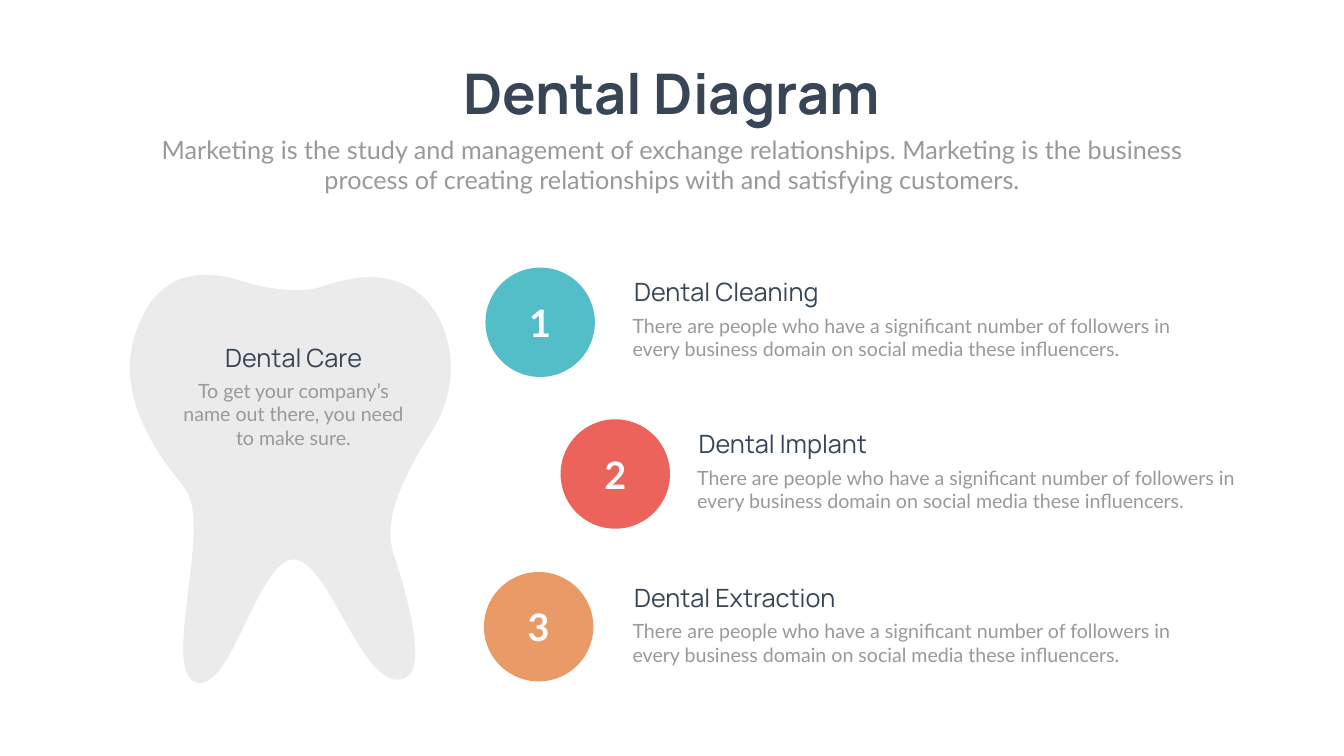
"""Build the Dental Diagram slide: a tooth outline beside three numbered treatments."""

from dataclasses import dataclass

import pptx
import pptx.dml.color
import pptx.enum.shapes
import pptx.enum.text
import pptx.oxml.ns
import pptx.shapes.autoshape
import pptx.slide
import pptx.util
from lxml import etree

EMU_PER_PX = 9144
CIRCLE_SIZE = 217
HEADING_WIDTH, HEADING_HEIGHT = 535, 71
BODY_HEIGHT, BODY_SHIFT, BODY_DROP = 104, -3, 74
ALIGN = pptx.enum.text.PP_ALIGN

Point = tuple[int, int]


@dataclass(frozen=True)
class Theme:
    background: str = "FEFFFE"
    heading: str = "374556"
    body: str = "999999"
    tooth: str = "EBEBEB"
    number: str = "FFFFFF"
    heading_font: str = "Manrope"
    body_font: str = "Lato"
    title_size: int = 80
    heading_size: int = 36
    number_size: int = 54
    body_size: int = 28


@dataclass(frozen=True)
class Box:
    left: int
    top: int
    width: int
    height: int

    def emu(self) -> list[int]:
        return [value * EMU_PER_PX for value in (self.left, self.top, self.width, self.height)]


@dataclass(frozen=True)
class Treatment:
    heading: str
    color: str
    circle: Point
    text: Point
    body_width: int


THEME = Theme()
TREATMENT_BODY = (
    "There are people who have a significant number of followers in "
    "every business domain on social media these influencers."
)
TREATMENTS = (
    Treatment("Dental Cleaning", "53BEC7", (963, 531), (1248, 543), 1135),
    Treatment("Dental Implant", "EB635B", (1112, 832), (1376, 845), 1099),
    Treatment("Dental Extraction", "EA9A67", (960, 1135), (1248, 1150), 1135),
)
TOOTH_START: Point = (292, 611)
TOOTH_CURVES: tuple[tuple[Point, Point, Point], ...] = (
    ((332, 544), (401, 533), (474, 556)),
    ((521, 571), (591, 584), (634, 570)),
    ((710, 545), (770, 539), (827, 579)),
    ((883, 618), (930, 739), (856, 857)),
    ((781, 975), (762, 1045), (782, 1103)),
    ((801, 1161), (851, 1323), (804, 1345)),
    ((722, 1383), (655, 1111), (583, 1110)),
    ((511, 1110), (459, 1375), (389, 1354)),
    ((318, 1333), (424, 1039), (366, 968)),
    ((309, 896), (203, 759), TOOTH_START),
)


def rgb(color: str) -> pptx.dml.color.RGBColor:
    return pptx.dml.color.RGBColor.from_string(color)


def paint(shape: pptx.shapes.autoshape.Shape, color: str) -> None:
    shape.fill.solid()
    shape.fill.fore_color.rgb = rgb(color)
    shape.line.fill.background()
    shape.shadow.inherit = False


def write_text(
    shape: pptx.shapes.autoshape.Shape,
    text: str,
    *,
    size: int,
    color: str,
    font: str,
    bold: bool = False,
    align: ALIGN = ALIGN.LEFT,
    wrap: bool = True,
) -> None:
    frame = shape.text_frame
    frame.word_wrap = wrap
    paragraph = frame.paragraphs[0]
    paragraph.alignment = align
    run = paragraph.add_run()
    run.text = text
    run.font.size = pptx.util.Pt(size)
    run.font.name = font
    run.font.bold = bold
    run.font.color.rgb = rgb(color)


def add_heading(
    slide: pptx.slide.Slide, box: Box, text: str, *, size: int = THEME.heading_size, **text_format
) -> None:
    shape = slide.shapes.add_textbox(*box.emu())
    write_text(shape, text, size=size, color=THEME.heading, font=THEME.heading_font, **text_format)


def add_body(
    slide: pptx.slide.Slide, box: Box, text: str, *, size: int = THEME.body_size, **text_format
) -> None:
    shape = slide.shapes.add_textbox(*box.emu())
    write_text(shape, text, size=size, color=THEME.body, font=THEME.body_font, **text_format)


def add_tooth(slide: pptx.slide.Slide) -> None:
    builder = slide.shapes.build_freeform(*TOOTH_START, scale=EMU_PER_PX)
    builder.add_line_segments([point for curve in TOOTH_CURVES for point in curve], close=True)
    tooth = builder.convert_to_shape()
    paint(tooth, THEME.tooth)
    qualified = pptx.oxml.ns.qn
    outline = next(tooth.element.iter(qualified("a:path")))
    segments = outline.findall(qualified("a:lnTo"))
    for first in range(0, len(segments), 3):
        curve = etree.Element(qualified("a:cubicBezTo"))
        segments[first].addprevious(curve)
        for segment in segments[first:first + 3]:
            curve.append(segment[0])
            outline.remove(segment)


def add_treatment(slide: pptx.slide.Slide, number: int, treatment: Treatment) -> None:
    circle = slide.shapes.add_shape(
        pptx.enum.shapes.MSO_SHAPE.OVAL,
        *Box(*treatment.circle, CIRCLE_SIZE, CIRCLE_SIZE).emu(),
    )
    paint(circle, treatment.color)
    circle.text_frame.vertical_anchor = pptx.enum.text.MSO_ANCHOR.MIDDLE
    write_text(
        circle, str(number), size=THEME.number_size, color=THEME.number,
        font=THEME.body_font, bold=True, align=ALIGN.CENTER,
    )
    left, top = treatment.text
    add_heading(slide, Box(left, top, HEADING_WIDTH, HEADING_HEIGHT), treatment.heading)
    body = Box(left + BODY_SHIFT, top + BODY_DROP, treatment.body_width, BODY_HEIGHT)
    add_body(slide, body, TREATMENT_BODY)


def main() -> None:
    presentation = pptx.Presentation()
    presentation.slide_width = 2666 * EMU_PER_PX
    presentation.slide_height = 1500 * EMU_PER_PX
    slide = presentation.slides.add_slide(presentation.slide_layouts[6])
    slide.background.fill.solid()
    slide.background.fill.fore_color.rgb = rgb(THEME.background)

    add_heading(
        slide, Box(865, 112, 935, 145), "Dental Diagram",
        size=THEME.title_size, bold=True, align=ALIGN.CENTER, wrap=False,
    )
    add_body(
        slide, Box(292, 261, 2082, 131),
        "Marketing is the study and management of exchange relationships. Marketing is the "
        "business process of creating relationships with and satisfying customers.",
        size=THEME.heading_size, align=ALIGN.CENTER,
    )
    add_tooth(slide)
    add_body(
        slide, Box(345, 746, 474, 151),
        "To get your company’s name out there, you need to make sure.",
        align=ALIGN.CENTER,
    )
    add_heading(slide, Box(383, 675, 399, HEADING_HEIGHT), "Dental Care", align=ALIGN.CENTER)
    for number, treatment in enumerate(TREATMENTS, start=1):
        add_treatment(slide, number, treatment)
    presentation.save("out.pptx")


if __name__ == "__main__":
    main()
